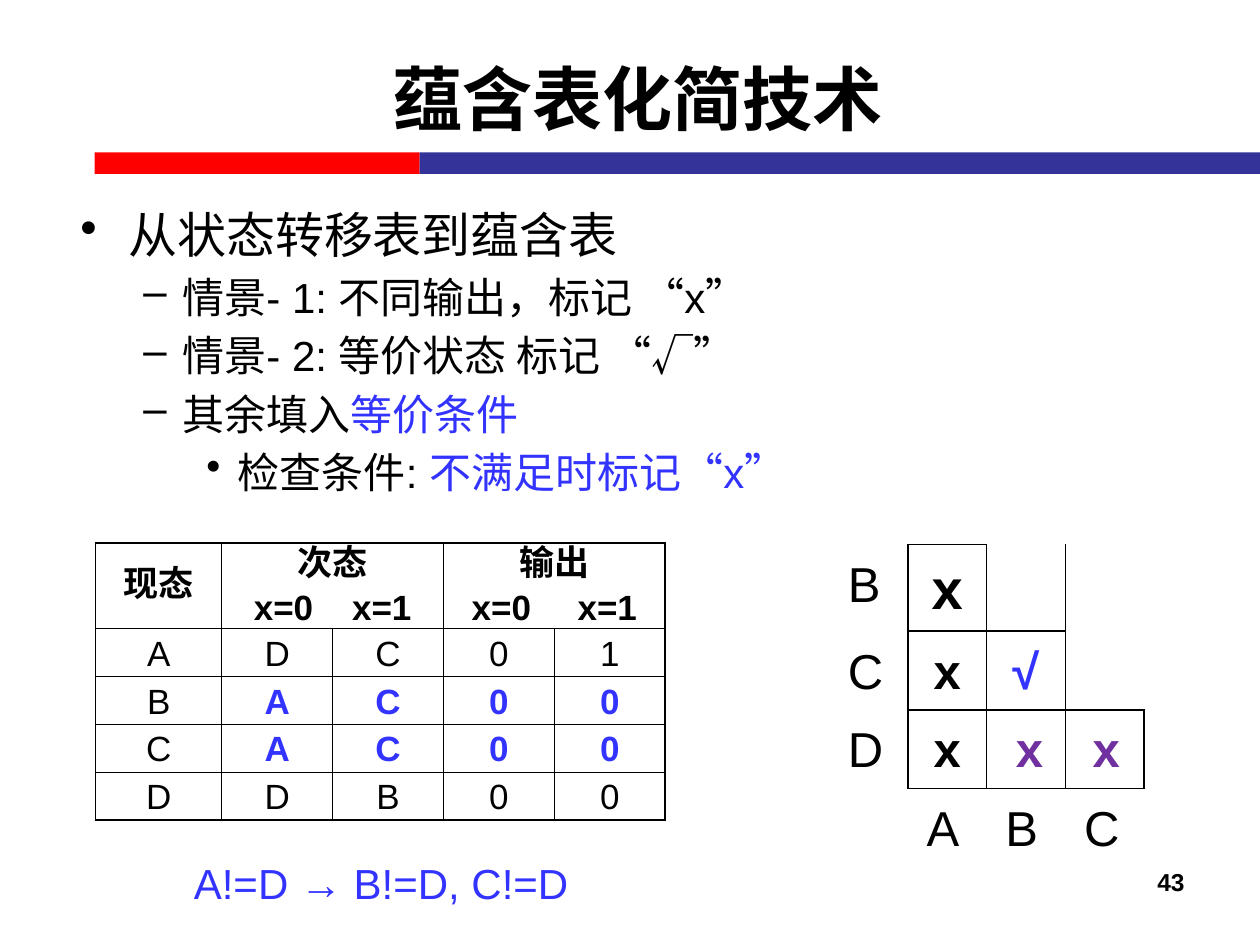
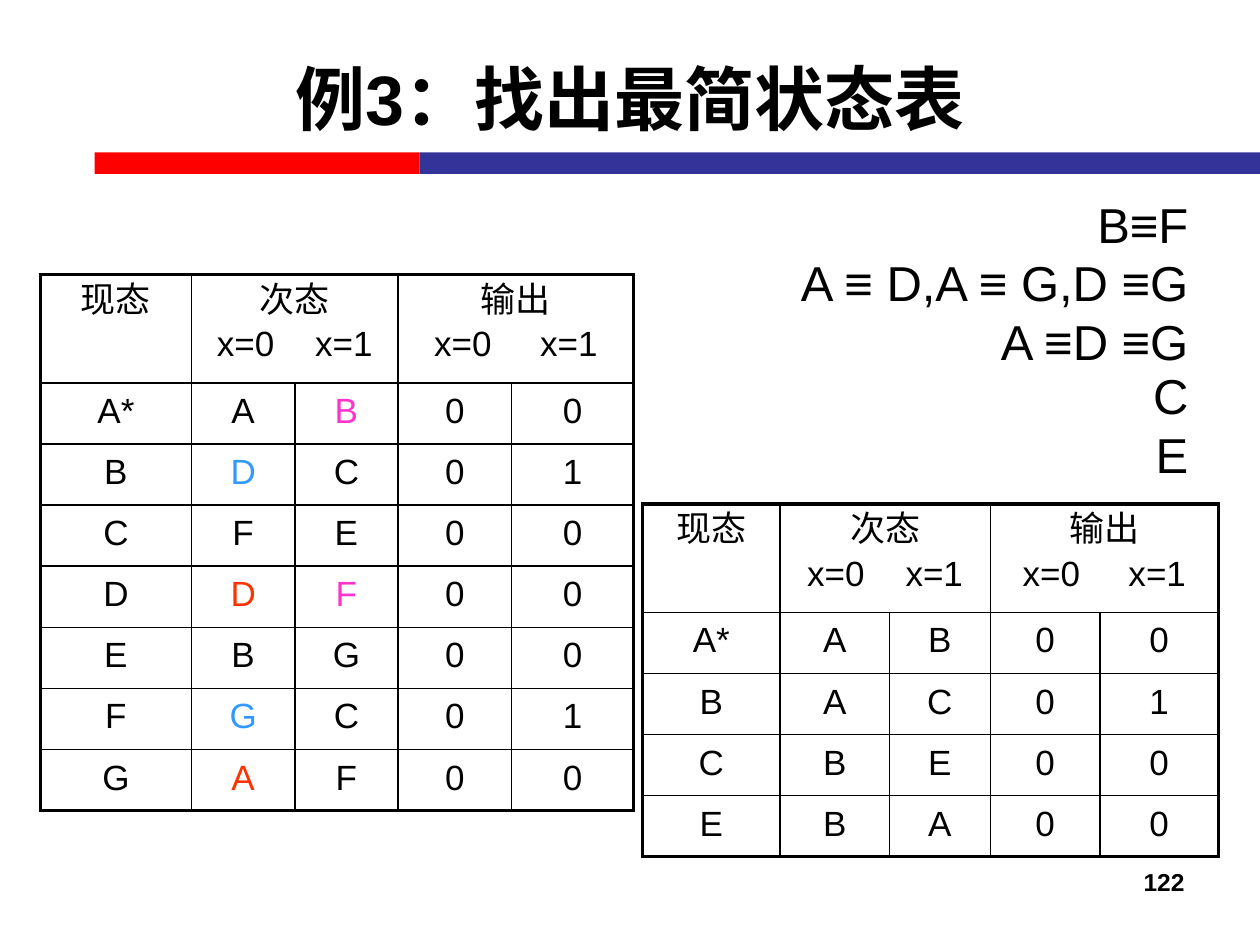
"""Build two slides on reducing state tables."""
import pptx
import pptx.dml.color
import pptx.enum.shapes
import pptx.enum.text
import pptx.oxml
import pptx.oxml.ns
import pptx.util

Inches = pptx.util.Inches
Pt = pptx.util.Pt
RGB = pptx.dml.color.RGBColor.from_string
ALIGN = pptx.enum.text.PP_ALIGN
ANCHOR = pptx.enum.text.MSO_ANCHOR
NS = pptx.oxml.ns.nsdecls("a")


class Theme:
    black, white, red, navy = "000000", "FFFFFF", "FF0000", "333399"
    blue, purple, pink = "3333FF", "7030A0", "FF33CC"
    sky, flame = "3399FF", "FF3300"
    face, han = "Arial", "Noto Sans CJK SC"
    title, mark, head, body, cell, page = 40, 32, 28, 24, 20, 14
    pitch, thin, thick = 1.19, 1, 2.25


def write(frame, lines, size, color=Theme.black, bold=False,
          align=ALIGN.CENTER, face=Theme.face, marks=(), tabs=()):
    frame.word_wrap = True
    for i, line in enumerate(lines):
        para = frame.paragraphs[0] if i == 0 else frame.add_paragraph()
        props = para._p.get_or_add_pPr()
        tall = size
        para.alignment = align
        if marks:
            para.level, left, hang, sign, tall = marks[i]
            props.set("marL", str(Inches(left)))
            props.set("indent", str(-Inches(hang)))
            props.append(pptx.oxml.parse_xml(f'<a:buChar {NS} char="{sign}"/>'))
            if i:
                para.space_before = Pt(tall * 0.2)
        para.line_spacing = Pt(round(tall * Theme.pitch, 1))
        runs = [(line, color)] if isinstance(line, str) else line
        if "\t" in runs[0][0]:
            para.alignment = ALIGN.LEFT
            stops = "".join(f'<a:tab pos="{Inches(t)}" algn="ctr"/>' for t in tabs)
            props.append(pptx.oxml.parse_xml(f"<a:tabLst {NS}>{stops}</a:tabLst>"))
        font = para.font
        font.size, font.bold, font.name = Pt(tall), bold, face
        font.color.rgb = RGB(runs[0][1])
        font._element.find(pptx.oxml.ns.qn("a:latin")).addnext(
            pptx.oxml.parse_xml(f'<a:ea {NS} typeface="{Theme.han}"/>'))
        for text, hue in runs:
            run = para.add_run()
            run.text = text
            if len(runs) > 1:
                run.font.color.rgb = RGB(hue)


def grid(slide, left, top, cols, rows, boxed, edge, inset, spans=()):
    table = slide.shapes.add_table(
        len(rows), len(cols), Inches(left), Inches(top),
        Inches(sum(cols)), Inches(sum(rows))).table
    table.first_row = table.horz_banding = False
    style = table._tbl.tblPr.find(pptx.oxml.ns.qn("a:tableStyleId"))
    style.text = "{2D5ABB26-0587-4C30-8999-92F81FD0307C}"
    for col, width in zip(table.columns, cols):
        col.width = Inches(width)
    for row, height in zip(table.rows, rows):
        row.height = Inches(height)
    for c in spans:
        table.cell(0, c).merge(table.cell(0, c + 1))
    for r in range(len(rows)):
        for c in range(len(cols)):
            cell = table.cell(r, c)
            if cell.is_spanned:
                continue
            props = cell._tc.get_or_add_tcPr()
            wide = cell.span_width if cell.is_merge_origin else 1
            near = {"L": (r, c - 1), "R": (r, c + wide),
                    "T": (r - 1, c), "B": (r + 1, c)}
            for side, (y, x) in near.items():
                if (r, c) in boxed or (y, x) in boxed:
                    inner = 0 <= y < len(rows) and 0 <= x < len(cols)
                    line = Pt(Theme.thin if inner else edge)
                    props.append(pptx.oxml.parse_xml(
                        f'<a:ln{side} {NS} w="{line}"><a:solidFill>'
                        f'<a:srgbClr val="{Theme.black}"/></a:solidFill></a:ln{side}>'))
            cell.fill.solid()
            cell.fill.fore_color.rgb = RGB(Theme.white)
            cell.margin_left = cell.margin_right = Inches(inset[0])
            cell.margin_top = cell.margin_bottom = Inches(inset[1])
    return table


deck = pptx.Presentation()
deck.slide_width, deck.slide_height = Inches(10), Inches(7.5)

heads = [("蕴含表化简技术", "43", 0.56, Theme.han),
         ("例3：找出最简状态表", "122", 0.5, Theme.face)]
for title, page, left, face in heads:
    slide = deck.slides.add_slide(deck.slide_layouts[6])
    for start, width, color in [(0.75, 2.58, Theme.red), (3.33, 6.67, Theme.navy)]:
        band = slide.shapes.add_shape(
            pptx.enum.shapes.MSO_SHAPE.RECTANGLE,
            Inches(start), Inches(1.21), Inches(width), Inches(0.17))
        band.shadow.inherit = False
        band.fill.solid()
        band.fill.fore_color.rgb = RGB(color)
        band.line.fill.background()
    frame = slide.shapes.add_textbox(
        Inches(left), Inches(0.15), Inches(9), Inches(1.25)).text_frame
    frame.vertical_anchor = ANCHOR.MIDDLE
    write(frame, [title], Theme.title, bold=True, face=face)
    frame = slide.shapes.add_textbox(
        Inches(7.17), Inches(6.83), Inches(2.33), Inches(0.52)).text_frame
    write(frame, [page], Theme.page, bold=True, align=ALIGN.RIGHT)
first, second = deck.slides

dash = (1, 0.81, 0.31, "–", Theme.body)
steps = [
    "从状态转移表到蕴含表",
    "情景- 1: 不同输出，标记 “x”",
    "情景- 2: 等价状态 标记 “√”",
    [("其余填入", Theme.black), ("等价条件", Theme.blue)],
    [("检查条件: ", Theme.black), ("不满足时标记“x”", Theme.blue)],
]
frame = first.shapes.add_textbox(
    Inches(0.54), Inches(1.58), Inches(8.62), Inches(2.6)).text_frame
write(frame, steps, Theme.body, align=ALIGN.LEFT,
      marks=[(0, 0.38, 0.38, "•", Theme.head), dash, dash, dash,
             (2, 1.25, 0.25, "•", Theme.body)])

same = {(r, c): Theme.blue for r in (2, 3) for c in range(1, 5)}
hues = {(1, 2): Theme.pink, (2, 1): Theme.sky, (4, 1): Theme.flame,
        (4, 2): Theme.pink, (6, 1): Theme.sky, (7, 1): Theme.flame}
states = [
    (first, 0.76, 4.31, [1, 0.88, 0.88, 0.88, 0.88], 0.68, 0.38,
     ["A D C 0 1", "B A C 0 0", "C A C 0 0", "D D B 0 0"],
     same, True, Theme.thin, (0, 0), ANCHOR.MIDDLE),
    (second, 5.1, 4, [1.09, 0.87, 0.8, 0.87, 0.94], 0.86, 0.485,
     ["A* A B 0 0", "B A C 0 1", "C B E 0 0", "E B A 0 0"],
     {}, False, Theme.thick, (0.1, 0.05), ANCHOR.TOP),
    (second, 0.32, 2.18, [1.2, 0.82, 0.82, 0.9, 0.97], 0.86, 0.485,
     ["A* A B 0 0", "B D C 0 1", "C F E 0 0", "D D F 0 0",
      "E B G 0 0", "F G C 0 1", "G A F 0 0"],
     hues, False, Theme.thick, (0.1, 0.05), ANCHOR.TOP),
]
for slide, left, top, cols, tall, step, data, spots, heavy, edge, inset, anchor in states:
    rows = [tall] + [step] * len(data)
    boxed = {(r, c) for r in range(len(rows)) for c in range(5)}
    table = grid(slide, left, top, cols, rows, boxed, edge, inset, (1, 3))
    for c, name, gap in [(0, "现态", 0), (1, "次态", 0.39), (3, "输出", 0.42)]:
        mid = (cols[c] + cols[c + 1]) / 2 - inset[0]
        cell = table.cell(0, c)
        cell.vertical_anchor = anchor
        write(cell.text_frame, [name, "\tx=0\tx=1"] if gap else [name],
              Theme.cell, bold=heavy, tabs=(mid - gap, mid + gap))
    for r, row in enumerate(data, 1):
        for c, text in enumerate(row.split()):
            cell = table.cell(r, c)
            cell.vertical_anchor = anchor
            write(cell.text_frame, [text], Theme.cell,
                  spots.get((r, c), Theme.black), heavy and (r, c) in spots)

stair = {(r, c) for r in range(3) for c in range(1, r + 2)}
table = grid(first, 6.58, 4.32, [0.625] * 4, [0.69] + [0.625] * 3,
             stair, Theme.thin, (0.15, 0.08))
pairs = [["B", "x"], ["C", "x", "√"], ["D", "x"], ["", "A", "B", "C"]]
for r, row in enumerate(pairs):
    for c, text in enumerate(row):
        if text:
            inside = (r, c) in stair
            write(table.cell(r, c).text_frame, [text],
                  Theme.mark if (r, c) == (0, 1) else Theme.head,
                  Theme.blue if text == "√" else Theme.black, inside,
                  ALIGN.CENTER if inside else ALIGN.LEFT)

notes = [
    (first, 1.03, 6.76, 3.99, 0.5, ["A!=D → B!=D, C!=D"],
     Theme.body, Theme.blue, False, ALIGN.CENTER),
    (first, 7.88, 5.66, 0.58, 0.57, ["x"],
     Theme.head, Theme.purple, True, ALIGN.CENTER),
    (first, 8.49, 5.66, 0.58, 0.57, ["x"],
     Theme.head, Theme.purple, True, ALIGN.CENTER),
    (second, 6.17, 1.5, 3.36, 1.5, ["B≡F", "A ≡ D,A ≡ G,D ≡G", "A ≡D ≡G"],
     Theme.head, Theme.black, False, ALIGN.RIGHT),
    (second, 9.03, 2.86, 0.5, 1.03, ["C", "E"],
     Theme.head, Theme.black, False, ALIGN.RIGHT),
]
for slide, left, top, width, height, lines, size, color, bold, align in notes:
    frame = slide.shapes.add_textbox(
        Inches(left), Inches(top), Inches(width), Inches(height)).text_frame
    write(frame, lines, size, color, bold, align)

deck.save("out.pptx")
